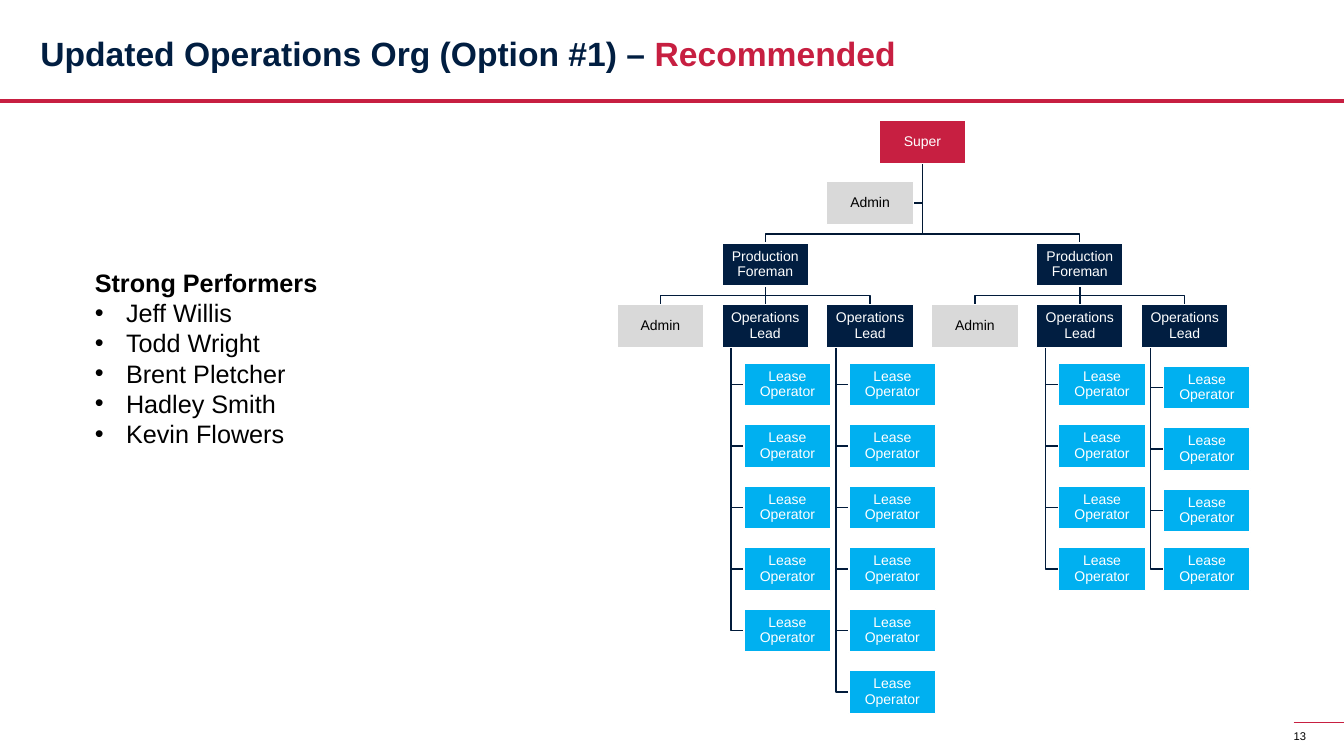
import pptx
import pptx.dml.color
import pptx.enum.shapes
import pptx.enum.text
import pptx.oxml
import pptx.util
import lxml.etree

Inches = pptx.util.Inches
Pt = pptx.util.Pt

NAVY, RED, GRAY, BLUE = "011E41", "C71F41", "D9D9D9", "00B0F0"
BLACK, WHITE = "000000", "FFFFFF"
TOP_LINE, TEAM_LINE = "011834", "011B3B"
BOX_WIDTH, BOX_HEIGHT = 0.86, 0.43
COLUMN_STEP, ROW_STEP = 1.04, 0.61
STEM_OFFSET, CREW_OFFSET = 0.09, 0.22
PERFORMERS = ["Jeff Willis", "Todd Wright", "Brent Pletcher", "Hadley Smith", "Kevin Flowers"]


def color(hex_string):
    """Return the colour for a hex string."""
    return pptx.dml.color.RGBColor.from_string(hex_string)


def style_font(font, size, hex_string, bold=False):
    """Set the typeface, size, colour and weight of a font."""
    font.name = "Arial"
    font.size = Pt(size)
    font.bold = bold
    font.color.rgb = color(hex_string)


def set_frame(text_frame, margin, anchor):
    """Set equal margins, the anchor and wrapping of a text frame."""
    text_frame.margin_left = text_frame.margin_right = Inches(margin)
    text_frame.margin_top = text_frame.margin_bottom = Inches(margin)
    text_frame.vertical_anchor = anchor
    text_frame.word_wrap = True
    text_frame.auto_size = pptx.enum.text.MSO_AUTO_SIZE.NONE


def place(shape, left, top, width, height):
    """Move and size a shape, in inches."""
    shape.left, shape.top = Inches(left), Inches(top)
    shape.width, shape.height = Inches(width), Inches(height)


def add_rule(slide, left, top, right, bottom, hex_string, weight):
    """Add a straight line without shadow."""
    line = slide.shapes.add_connector(
        pptx.enum.shapes.MSO_CONNECTOR.STRAIGHT,
        Inches(left), Inches(top), Inches(right), Inches(bottom))
    line.line.color.rgb = color(hex_string)
    line.line.width = Pt(weight)
    lxml.etree.SubElement(line._element.spPr, pptx.oxml.ns.qn("a:effectLst"))


def add_link(slide, points, hex_string=TEAM_LINE):
    """Add an open angled line through points given in inches."""
    corners = [(Inches(x), Inches(y)) for x, y in points]
    builder = slide.shapes.build_freeform(*corners[0])
    builder.add_line_segments(corners[1:], close=False)
    link = builder.convert_to_shape()
    link.shadow.inherit = False
    link.fill.background()
    link.line.color.rgb = color(hex_string)
    link.line.width = Pt(1)


def add_branch(slide, start_x, start_y, end_x, end_y, hex_string=TEAM_LINE):
    """Add a link that goes down, across and down to a box."""
    bend = end_y - 0.09
    add_link(slide, [(start_x, start_y), (start_x, bend), (end_x, bend), (end_x, end_y)], hex_string)


def add_role(slide, left, top, label, fill):
    """Add one position box."""
    role = slide.shapes.add_shape(
        pptx.enum.shapes.MSO_SHAPE.RECTANGLE,
        Inches(left), Inches(top), Inches(BOX_WIDTH), Inches(BOX_HEIGHT))
    role.shadow.inherit = False
    role.fill.solid()
    role.fill.fore_color.rgb = color(fill)
    role.line.color.rgb = color(WHITE)
    role.line.width = Pt(1)
    set_frame(role.text_frame, 0.01, pptx.enum.text.MSO_ANCHOR.MIDDLE)
    role.text_frame.text = label
    paragraph = role.text_frame.paragraphs[0]
    paragraph.alignment = pptx.enum.text.PP_ALIGN.CENTER
    paragraph.line_spacing = 0.9
    style_font(paragraph.font, 10, BLACK if fill == GRAY else WHITE)


def add_crew(slide, left, top, offsets):
    """Add an operations lead and the lease operators below."""
    stem, bottom = left + STEM_OFFSET, top + BOX_HEIGHT
    crew_left = left + CREW_OFFSET
    for offset in offsets:
        middle = top + offset + BOX_HEIGHT / 2
        add_link(slide, [(stem, bottom), (stem, middle), (crew_left, middle)])
    add_role(slide, left, top, "Operations Lead", NAVY)
    for offset in offsets:
        add_role(slide, crew_left, top + offset, "Lease Operator", BLUE)


def add_team(slide, left, top, crews):
    """Add a foreman with an admin and two crews."""
    center, bottom, next_top = left + BOX_WIDTH / 2, top + BOX_HEIGHT, top + ROW_STEP
    for side in (-1, 1):
        add_branch(slide, center, bottom, center + side * COLUMN_STEP, next_top)
    add_rule(slide, center, bottom, center, next_top, TEAM_LINE, 1)
    add_role(slide, left, top, "Production Foreman", NAVY)
    add_role(slide, left - COLUMN_STEP, next_top, "Admin", GRAY)
    for column, offsets in enumerate(crews):
        add_crew(slide, left + column * COLUMN_STEP, next_top, offsets)


def add_org_chart(slide, left, top):
    """Add the whole chart, with the superintendent box at left and top."""
    center, bottom = left + BOX_WIDTH / 2, top + BOX_HEIGHT
    team_top, team_shift = top + 2 * ROW_STEP, 1.5 * COLUMN_STEP
    admin_left, admin_top = left - COLUMN_STEP / 2, top + ROW_STEP
    admin_middle = admin_top + BOX_HEIGHT / 2
    rows = [0.58 + ROW_STEP * row for row in range(6)]
    lowered_rows = [row + 0.03 for row in rows[:3]] + [rows[3]]
    add_link(slide, [(center, bottom), (center, admin_middle),
                     (admin_left + BOX_WIDTH, admin_middle)], TOP_LINE)
    for side in (-1, 1):
        add_branch(slide, center, bottom, center + side * team_shift, team_top, TOP_LINE)
    add_role(slide, left, top, "Super", RED)
    add_role(slide, admin_left, admin_top, "Admin", GRAY)
    add_team(slide, left - team_shift, team_top, [rows[:5], rows])
    add_team(slide, left + team_shift, team_top, [rows[:4], lowered_rows])


def add_title(slide, left, top, width, height):
    """Fill the title placeholder with its two-colour heading."""
    title = slide.shapes.title
    place(title, left, top, width, height)
    set_frame(title.text_frame, 0, pptx.enum.text.MSO_ANCHOR.MIDDLE)
    title.text_frame.text = "Updated Operations Org (Option #1) – "
    paragraph = title.text_frame.paragraphs[0]
    paragraph.alignment = pptx.enum.text.PP_ALIGN.LEFT
    paragraph.line_spacing = 0.9
    paragraph.add_run().text = "Recommended"
    for run, hex_string in zip(paragraph.runs, (NAVY, RED)):
        style_font(run.font, 24, hex_string, bold=True)


def add_performers(slide, left, top, width, height):
    """Fill the body placeholder with the list of strong performers."""
    body = slide.placeholders[1]
    place(body, left, top, width, height)
    text_frame = body.text_frame
    set_frame(text_frame, 0.05, pptx.enum.text.MSO_ANCHOR.TOP)
    text_frame.margin_left = text_frame.margin_right = Inches(0.1)
    text_frame.text = "\n".join(["Strong Performers"] + PERFORMERS)
    for index, paragraph in enumerate(text_frame.paragraphs):
        heading = index == 0
        indent = 0 if heading else Inches(0.31)
        properties = paragraph._p.get_or_add_pPr()
        properties.set("marL", str(indent))
        properties.set("indent", str(-indent))
        bullet = lxml.etree.SubElement(
            properties, pptx.oxml.ns.qn("a:buNone" if heading else "a:buChar"))
        if not heading:
            bullet.set("char", "•")
        paragraph.space_before = Pt(0)
        style_font(paragraph.font, 18, BLACK, bold=heading)


def add_page_number(slide, left, top, width):
    """Add the page number under its short line."""
    add_rule(slide, left, top, left + width, top, RED, 0.5)
    number = slide.shapes.add_textbox(Inches(left), Inches(top + 0.07), Inches(width), Inches(0.26))
    set_frame(number.text_frame, 0, pptx.enum.text.MSO_ANCHOR.TOP)
    number.text_frame.text = "13"
    style_font(number.text_frame.paragraphs[0].font, 8, BLACK)


def main():
    """Build and save the presentation."""
    presentation = pptx.Presentation()
    presentation.slide_width, presentation.slide_height = Inches(13.33), Inches(7.5)
    slide = presentation.slides.add_slide(presentation.slide_layouts[1])
    add_title(slide, 0.4, 0.18, 9.8, 0.74)
    add_rule(slide, 0, 1, 13.33, 1, RED, 2.75)
    add_performers(slide, 0.84, 2.6, 2.5, 1.92)
    add_org_chart(slide, 8.72, 1.19)
    add_page_number(slide, 12.83, 7.17, 0.5)
    presentation.save("out.pptx")


if __name__ == "__main__":
    main()
